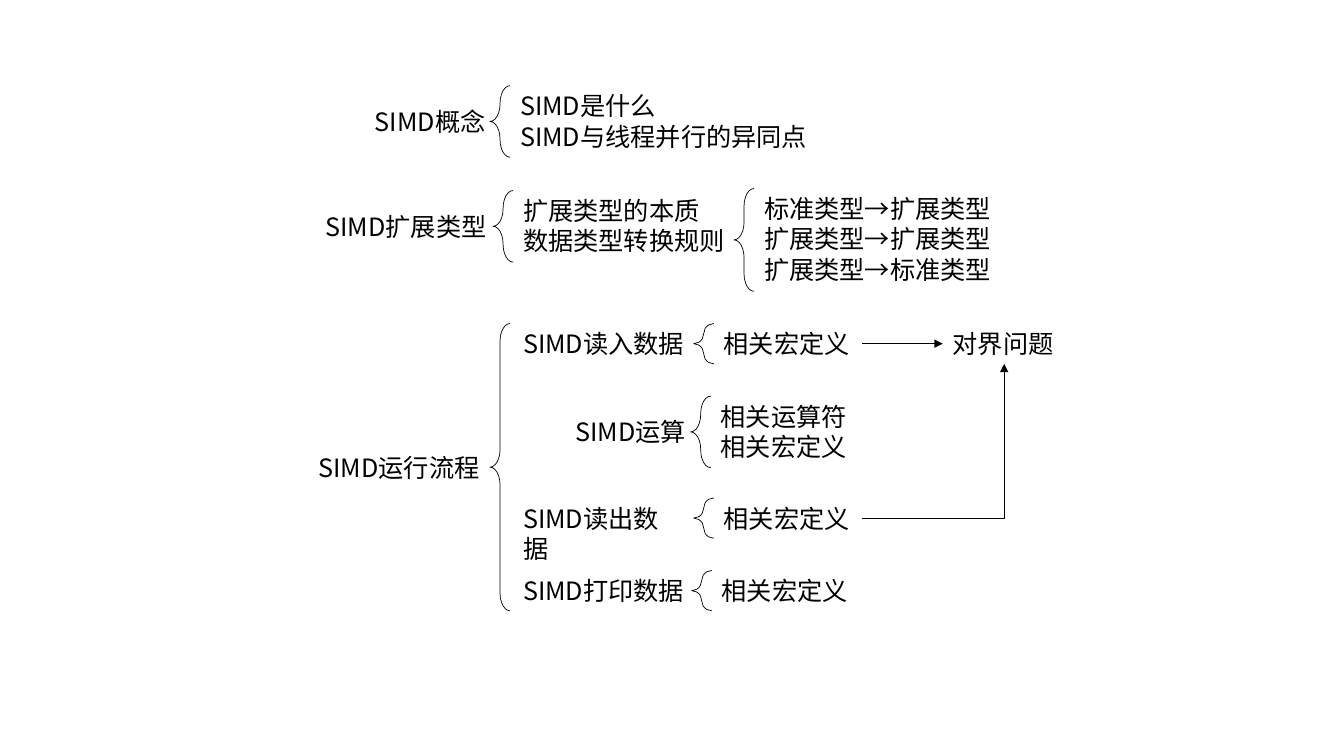
from dataclasses import dataclass

from lxml import etree
from pptx import Presentation, util as u
from pptx.dml.color import RGBColor
from pptx.enum import shapes, text
from pptx.oxml import ns

FONT = "Noto Sans CJK SC"
BLACK = "000000"
LINE_HEIGHT = 0.4
LINE_STEP = 0.31
BRACE_WIDTH = 0.2


@dataclass
class Branch:
    """A label, a left brace and the lines the brace gathers, in inches."""
    brace_left: float
    top: float
    items: tuple[str, ...] = ()
    items_width: float = 0
    label: str = ""
    label_left: float = 0
    label_width: float = 0
    span: float = 0

    @property
    def height(self) -> float:
        return self.span or LINE_HEIGHT + LINE_STEP * (len(self.items) - 1)


MACROS = ("相关宏定义",)
CONCEPT = [
    Branch(4.86, 0.85, ("SIMD是什么", "SIMD与线程并行的异同点"), 3.06,
           "SIMD概念", 3.62, 1.31),
]
EXTENDED_TYPES = [
    Branch(4.89, 1.89, ("扩展类型的本质", "数据类型转换规则"), 2.22,
           "SIMD扩展类型", 3.13, 1.8),
    Branch(7.28, 1.87, ("标准类型→扩展类型", "扩展类型→扩展类型", "扩展类型→标准类型"), 2.47),
]
READ_IN = Branch(6.88, 3.21, MACROS, 1.47, "SIMD读入数据", 5.09, 1.8)
READ_OUT = Branch(6.88, 4.94, MACROS, 1.47, "SIMD读出数据", 5.09, 1.78)
WORKFLOW = [
    Branch(4.86, 3.21, label="SIMD运行流程", label_left=3.06, label_width=1.8, span=2.85),
    READ_IN,
    Branch(6.85, 3.93, ("相关运算符", "相关宏定义"), 1.51, "SIMD运算", 5.61, 1.34),
    READ_OUT,
    Branch(6.86, 5.66, MACROS, 1.47, "SIMD打印数据", 5.09, 1.8),
]


def color(value: str) -> RGBColor:
    return RGBColor.from_string(value)


def add_text(parent, lines: tuple[str, ...], left: float, top: float,
             width: float, height: float = LINE_HEIGHT):
    box = parent.add_textbox(u.Inches(left), u.Inches(top), u.Inches(width), u.Inches(height))
    frame = box.text_frame
    frame.word_wrap = True
    frame.auto_size = text.MSO_AUTO_SIZE.SHAPE_TO_FIT_TEXT
    for index, line in enumerate(lines):
        paragraph = frame.paragraphs[0] if index == 0 else frame.add_paragraph()
        run = paragraph.add_run()
        run.text = line
        run.font.size = u.Pt(18)
        run.font.name = FONT
        run.font.color.rgb = color(BLACK)
        east_asian = etree.SubElement(run._r.get_or_add_rPr(), ns.qn("a:ea"))
        east_asian.set("typeface", FONT)
    return box


def add_brace(parent, branch: Branch) -> None:
    brace = parent.add_shape(shapes.MSO_SHAPE.LEFT_BRACE, u.Inches(branch.brace_left),
                             u.Inches(branch.top), u.Inches(BRACE_WIDTH),
                             u.Inches(branch.height))
    brace.adjustments[0] = 0.87
    brace.adjustments[1] = 0.5
    brace.shadow.inherit = False
    brace.fill.background()
    brace.line.color.rgb = color(BLACK)
    brace.line.width = u.Pt(0.5)


def add_branch(parent, branch: Branch):
    """Draw one branch and return the text box of its items, if any."""
    if branch.label:
        label_top = branch.top + (branch.height - LINE_HEIGHT) / 2
        add_text(parent, (branch.label,), branch.label_left, label_top, branch.label_width)
    add_brace(parent, branch)
    if branch.items:
        return add_text(parent, branch.items, branch.brace_left + BRACE_WIDTH, branch.top,
                        branch.items_width, branch.height)
    return None


def add_arrow(slide, kind, source, target, target_site: int):
    """Join the right side of source to a side of target."""
    arrow = slide.shapes.add_connector(kind, 0, 0, 0, 0)
    arrow.begin_connect(source, 3)
    arrow.end_connect(target, target_site)
    arrow.line.color.rgb = color(BLACK)
    arrow.line.width = u.Pt(0.5)
    etree.SubElement(arrow.line._get_or_add_ln(), ns.qn("a:tailEnd")).set("type", "triangle")
    etree.SubElement(arrow._element.spPr, ns.qn("a:effectLst"))
    return arrow


def main() -> None:
    presentation = Presentation()
    presentation.slide_width = u.Inches(13.33)
    presentation.slide_height = u.Inches(7.5)
    slide = presentation.slides.add_slide(presentation.slide_layouts[6])

    macro_boxes = {}
    for branches in (CONCEPT, EXTENDED_TYPES, WORKFLOW):
        group = slide.shapes.add_group_shape()
        for branch in branches:
            items_box = add_branch(group.shapes, branch)
            if branch is READ_IN or branch is READ_OUT:
                macro_boxes[branch.label] = items_box

    alignment = add_text(slide.shapes, ("对界问题",), 9.35, READ_IN.top, 1.22)
    add_arrow(slide, shapes.MSO_CONNECTOR.STRAIGHT, macro_boxes[READ_IN.label], alignment, 1)
    bent = add_arrow(slide, shapes.MSO_CONNECTOR.ELBOW, macro_boxes[READ_OUT.label], alignment, 2)
    bent._element.spPr.find(ns.qn("a:prstGeom")).set("prst", "bentConnector2")

    presentation.save("out.pptx")


if __name__ == "__main__":
    main()
